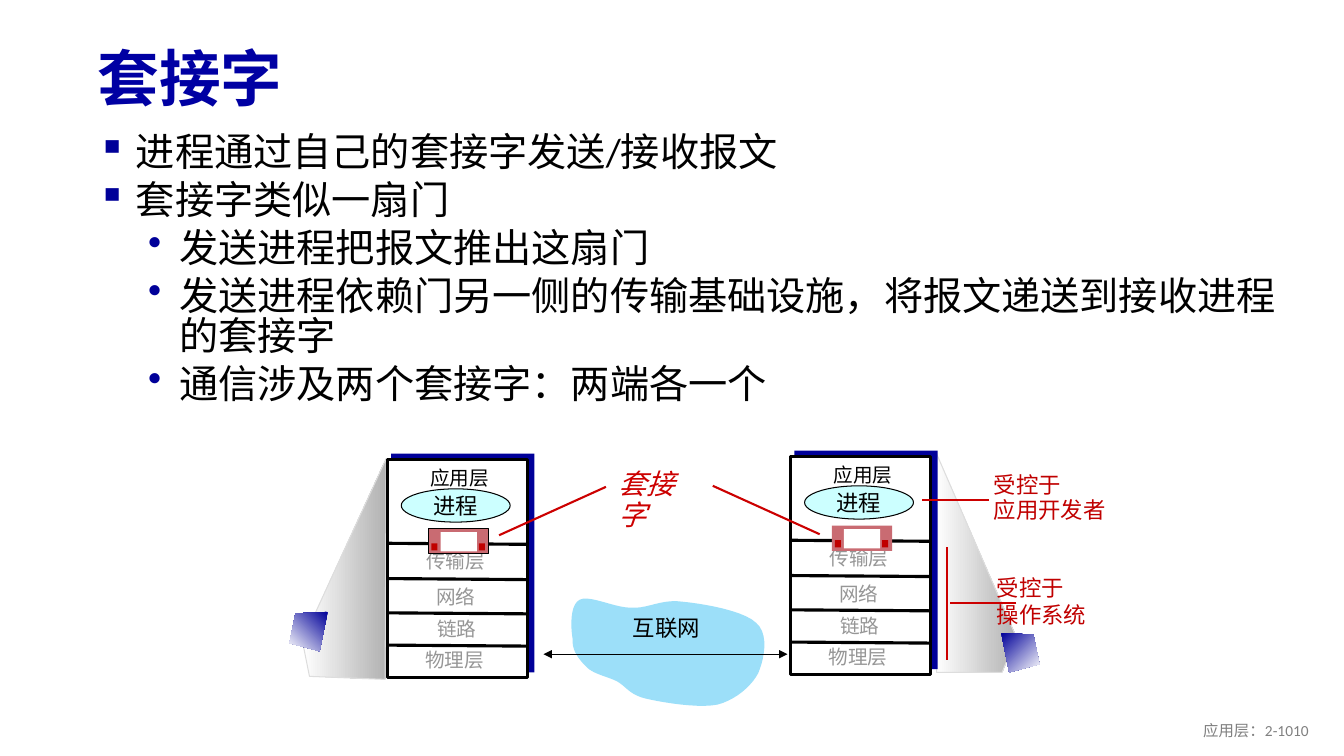
from lxml import etree
from pptx import Presentation
from pptx.dml.color import RGBColor
from pptx.enum.shapes import MSO_CONNECTOR, MSO_SHAPE
from pptx.enum.text import MSO_ANCHOR, PP_ALIGN
from pptx.oxml.ns import qn
from pptx.util import Inches, Pt

RECTANGLE, OVAL = MSO_SHAPE.RECTANGLE, MSO_SHAPE.OVAL
STRAIGHT = MSO_CONNECTOR.STRAIGHT
LEFT, CENTER, RIGHT = PP_ALIGN.LEFT, PP_ALIGN.CENTER, PP_ALIGN.RIGHT
TOP, MIDDLE = MSO_ANCHOR.TOP, MSO_ANCHOR.MIDDLE

CELL = Inches(0.1)
NAVY, BLACK, WHITE = "000099", "000000", "FFFFFF"
RED, DARK_RED, GRAY = "CC0000", "C00000", "969696"

BULLETS = [
    (0, "进程通过自己的套接字发送/接收报文"),
    (0, "套接字类似一扇门"),
    (1, "发送进程把报文推出这扇门"),
    (1, "发送进程依赖门另一侧的传输基础设施，将报文递送到接收进程的套接字"),
    (1, "通信涉及两个套接字：两端各一个"),
]
BULLET_LEVELS = [("▪", 3.8, 3.8), ("•", 8.1, 3.1)]
LAYERS = [
    ("应用层", 0, -0.1, BLACK),
    ("传输层", -0.4, 8.1, GRAY),
    ("网络", -0.4, 11.7, GRAY),
    ("链路", -0.3, 14.9, GRAY),
    ("物理层", -0.5, 18, GRAY),
]
LAYER_BORDERS = [8.3, 11.8, 15.2, 18.4]
BEAMS = [
    [(100.8, 63.2), (92.8, 44.8), (92.9, 66.7), (99.4, 66.7)],
    [(30, 63.6), (38.3, 45.5), (38.2, 67.4), (30.7, 67.1)],
]
CLOUD_START = (56.8, 63.4)
CLOUD_CURVES = [
    ((56.6, 62.3), (56.5, 60), (57.5, 59.5)),
    ((58.5, 59), (60.9, 60.3), (62.6, 60.3)),
    ((64.3, 60.4), (65.6, 59.4), (67.7, 59.7)),
    ((69.8, 59.9), (73.8, 60.6), (75, 61.8)),
    ((76.3, 62.9), (75.8, 65.4), (75.2, 66.8)),
    ((74.5, 68.1), (73, 69.4), (71.2, 69.9)),
    ((69.3, 70.3), (65.7, 69.7), (64, 69.3)),
    ((62.4, 68.9), (62.1, 68.1), (61.2, 67.6)),
    ((60.2, 67.1), (58.9, 66.9), (58.2, 66.2)),
    ((57.5, 65.5), (56.7, 64.6), CLOUD_START),
]


def color(value):
    """Turn a hex string into a colour."""
    return RGBColor.from_string(value)


def cells(*values):
    """Turn grid cells into lengths."""
    return [round(value * CELL) for value in values]


def curve_points(start, curves, steps=10):
    """Sample a chain of cubic curves."""
    points = [start]
    for first, second, end in curves:
        for step in range(1, steps + 1):
            t = step / steps
            weights = ((1 - t) ** 3, 3 * t * (1 - t) ** 2, 3 * t * t * (1 - t), t ** 3)
            corners = (start, first, second, end)
            points.append(tuple(sum(w * c[axis] for w, c in zip(weights, corners))
                                for axis in (0, 1)))
        start = end
    return points


class Sketch:
    """Draw on a slide in grid cells of a tenth of an inch."""

    def __init__(self, page):
        """Keep the current slide."""
        self.page = page

    def add_span(self, para, words, size, font, ink, align=LEFT, spacing=1.0,
                 bold=False, italic=False):
        """Add one run to a paragraph."""
        para.alignment, para.line_spacing = align, spacing
        span = para.add_run()
        span.text = words
        span.font.name, span.font.size = font, Pt(size)
        span.font.bold, span.font.italic = bold, italic
        span.font.color.rgb = color(ink)

    def text(self, x, y, width, height, lines, size, font, ink, anchor=TOP, **style):
        """Add a text box with one paragraph per line."""
        frame = self.page.shapes.add_textbox(*cells(x, y, width, height)).text_frame
        frame.word_wrap, frame.vertical_anchor = True, anchor
        for index, words in enumerate(lines):
            para = frame.add_paragraph() if index else frame.paragraphs[0]
            self.add_span(para, words, size, font, ink, **style)
        return frame

    def bullet(self, para, level):
        """Give a paragraph its bullet and indent."""
        mark, margin, hanging = BULLET_LEVELS[level]
        para.level = level
        properties = para._p.get_or_add_pPr()
        properties.set("marL", str(round(margin * CELL)))
        properties.set("indent", str(round(-hanging * CELL)))
        tint = etree.SubElement(properties, qn("a:buClr"))
        etree.SubElement(tint, qn("a:srgbClr")).set("val", NAVY)
        etree.SubElement(properties, qn("a:buChar")).set("char", mark)

    def paint(self, shape, fill, outline=None, weight=0.75, angle=0):
        """Set fill and outline; a pair of fills makes a gradient."""
        shape.shadow.inherit = False
        if isinstance(fill, tuple):
            shape.fill.gradient()
            shape.fill.gradient_angle = (360 - angle) % 360
            for stop, shade in zip(shape.fill.gradient_stops, fill):
                stop.color.rgb = color(shade)
        else:
            shape.fill.solid()
            shape.fill.fore_color.rgb = color(fill)
        if outline:
            shape.line.color.rgb = color(outline)
            shape.line.width = Pt(weight)
        else:
            shape.line.fill.background()

    def shape(self, kind, x, y, width, height, fill, outline=None, weight=0.75):
        """Add a preset shape."""
        shape = self.page.shapes.add_shape(kind, *cells(x, y, width, height))
        self.paint(shape, fill, outline, weight)
        return shape

    def freeform(self, points, fill, **style):
        """Add a closed freeform."""
        corners = [cells(*point) for point in points]
        builder = self.page.shapes.build_freeform(*corners[0], scale=1.0)
        builder.add_line_segments(corners[1:], close=True)
        self.paint(builder.convert_to_shape(), fill, **style)

    def line(self, x1, y1, x2, y2, ink=RED, weight=1.5, arrows=False):
        """Add a straight line."""
        line = self.page.shapes.add_connector(STRAIGHT, *cells(x1, y1, x2, y2))
        line.line.color.rgb, line.line.width = color(ink), Pt(weight)
        etree.SubElement(line._element.spPr, qn("a:effectLst"))
        if arrows:
            stroke = line._element.spPr.find(qn("a:ln"))
            for end in ("a:headEnd", "a:tailEnd"):
                etree.SubElement(stroke, qn(end)).set("type", "triangle")

    def host(self, x, y, socket_outline=None):
        """Draw a protocol stack with its process and socket."""
        self.shape(RECTANGLE, x + 0.4, y - 0.6, 14.2, 21.7, NAVY)
        self.shape(RECTANGLE, x, y, 13.9, 21.6, WHITE, BLACK, 2.25)
        for border in LAYER_BORDERS:
            self.line(x + 0.1, y + border, x + 13.9, y + border + 0.1, BLACK, 2.25)
        for name, shift, drop, ink in LAYERS:
            self.text(x + shift, y + drop, 14.4, 3.6, [name], 14, "Karla", ink,
                      align=CENTER, spacing=1.1)
        frame = self.shape(OVAL, x + 1.4, y + 2.9, 10.8, 3.3, "CCFFFF", BLACK).text_frame
        frame.word_wrap, frame.vertical_anchor = False, MIDDLE
        self.add_span(frame.paragraphs[0], "进程", 16, "Arial", BLACK, CENTER)
        self.shape(RECTANGLE, x + 4.1, y + 6.85, 6, 2.5, "C96B72", socket_outline)
        self.shape(RECTANGLE, x + 5.3, y + 7.2, 3.6, 1.9, WHITE)
        for shift in (9.1, 4.4):
            self.shape(RECTANGLE, x + shift, y + 8.3, 0.6, 0.7, DARK_RED)

    def device(self, x, y, side, angle):
        """Draw a tilted end system, widening toward one side."""
        corners = [(0, 0), (3.2, 0.15), (3.8, 3.1), (0.8, 3.9)]
        self.freeform([(x + side * dx, y + dy) for dx, dy in corners], (NAVY, WHITE), angle=angle)


def main():
    """Build the slide and save it."""
    deck = Presentation()
    deck.slide_width, deck.slide_height = Inches(13.33), Inches(7.5)
    sketch = Sketch(deck.slides.add_slide(deck.slide_layouts[6]))

    sketch.text(8.7, 3.2, 115, 9.8, ["套接字"], 44, "Calibri", "0000A3", MIDDLE,
                spacing=0.9, bold=True)
    body = sketch.text(8.7, 12.9, 119.9, 25.5, [words for _, words in BULLETS],
                       28, "Calibri", BLACK, spacing=0.85)
    for index, (para, (level, _)) in enumerate(zip(body.paragraphs, BULLETS)):
        para.space_before = Pt(5.6 if index else 0)
        sketch.bullet(para, level)

    for points in BEAMS:
        sketch.freeform(points, (WHITE, "B2B2B2"), outline="DDDDDD")
    sketch.freeform(curve_points(CLOUD_START, CLOUD_CURVES), "9CDFF9")
    sketch.text(61.3, 60.4, 9.6, 3.7, ["互联网"], 16, "Arial", BLACK, align=CENTER)
    sketch.line(53.9, 64.9, 78.1, 64.9, BLACK, 0.75, arrows=True)
    sketch.text(97.9, 56.5, 11.6, 9, ["受控于", "操作系统"], 16, "Arial", DARK_RED)
    sketch.text(97.6, 46.6, 16.1, 5.8, ["受控于", "应用开发者"], 16, "Arial", DARK_RED, spacing=0.9)

    sketch.host(38.4, 45.6, socket_outline=BLACK)
    sketch.host(78.4, 45.3)

    sketch.line(98.1, 49.6, 91.4, 49.6)
    sketch.line(93.9, 54.3, 93.9, 65.5)
    sketch.line(100.8, 59.8, 94.2, 59.8)
    sketch.text(60.4, 46.2, 10, 4, ["套接字"], 20, "Arial", RED, spacing=0.9, italic=True)
    sketch.line(49.5, 53.1, 60.1, 48.3)
    sketch.line(81.3, 53, 70.7, 48.2)
    sketch.device(32.5, 60.7, -1, 135)
    sketch.device(99.3, 62.8, 1, 45)
    sketch.text(100.8, 70.5, 30, 4, ["应用层：2-1010"], 11, "Calibri", "808080", MIDDLE, align=RIGHT)

    deck.save("out.pptx")


if __name__ == "__main__":
    main()
